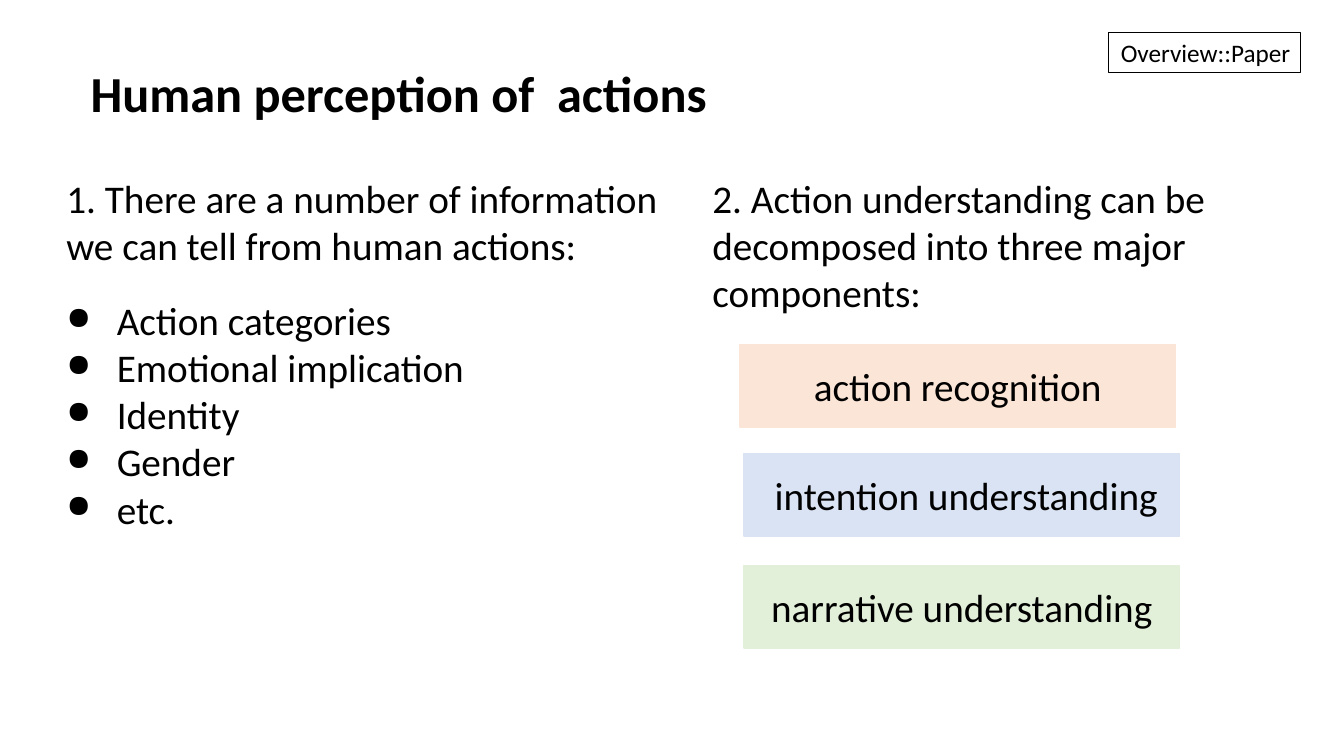
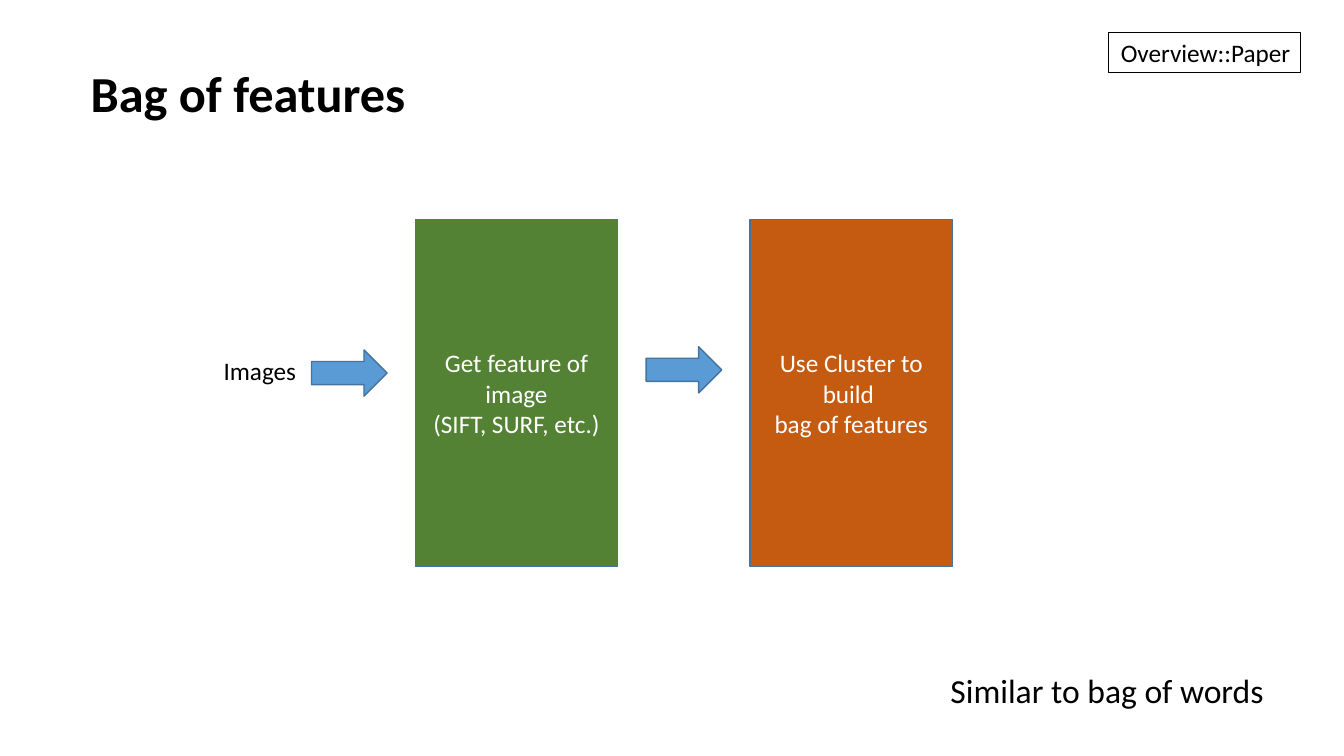
"""Builds two slides on human actions and on the bag of features."""
import pptx
import pptx.util
import pptx.dml.color
import pptx.enum.shapes
import pptx.enum.text
import lxml.etree

Pt = pptx.util.Pt
RGBColor = pptx.dml.color.RGBColor
Kind = pptx.enum.shapes.MSO_SHAPE
Align = pptx.enum.text.PP_ALIGN
Anchor = pptx.enum.text.MSO_ANCHOR
Fit = pptx.enum.text.MSO_AUTO_SIZE

BLACK = RGBColor(0x00, 0x00, 0x00)
WHITE = RGBColor(0xFF, 0xFF, 0xFF)
PEACH = RGBColor(0xFB, 0xE5, 0xD6)
PALE = RGBColor(0xDA, 0xE3, 0xF3)
MINT = RGBColor(0xE2, 0xF0, 0xD9)
BLUE = RGBColor(0x5B, 0x9B, 0xD5)
NAVY = RGBColor(0x43, 0x73, 0x9E)
GREEN = RGBColor(0x54, 0x82, 0x35)
RUST = RGBColor(0xC5, 0x5A, 0x11)
FONT = "Calibri"


def put(slide, text, box, kind=None, fill=None, line=None, width=1, size=28,
        color=BLACK, bold=False, align=None, anchor=Anchor.TOP, wrap=True,
        grow=False, after=0, bullet=False):
    left, top, wide, high = map(Pt, box)
    if kind is None:
        shape = slide.shapes.add_textbox(left, top, wide, high)
    else:
        shape = slide.shapes.add_shape(kind, left, top, wide, high)
        shape.shadow.inherit = False
        shape.line.color.rgb = line
        shape.line.width = Pt(width)
        if fill is None:
            shape.fill.background()
        else:
            shape.fill.solid()
            shape.fill.fore_color.rgb = fill
    frame = shape.text_frame
    frame.word_wrap = wrap
    frame.vertical_anchor = anchor
    frame.auto_size = Fit.SHAPE_TO_FIT_TEXT if grow else Fit.NONE
    frame.text = text
    for rank, para in enumerate(frame.paragraphs):
        if bullet and rank:
            props = para._p.get_or_add_pPr()
            props.set("marL", str(Pt(36)))
            props.set("indent", str(Pt(-36)))
            for tag, key, val in (("buSzPct", "val", "80000"), ("buChar", "char", "●")):
                lxml.etree.SubElement(props, pptx.oxml.ns.qn("a:" + tag)).set(key, val)
        if align is not None:
            para.alignment = align
        if after and rank == 0:
            para.space_after = Pt(after)
        para.font.name = FONT
        para.font.size = Pt(size)
        para.font.bold = bold
        para.font.color.rgb = color
    return shape


deck = pptx.Presentation()
deck.slide_width, deck.slide_height = Pt(960), Pt(540)

pages = []
for title, wide in (("Human perception of  actions", 460), ("Bag of features", 242)):
    page = deck.slides.add_slide(deck.slide_layouts[6])
    put(page, title, (57.6, 41, wide, 51), size=36, bold=True, wrap=False, grow=True)
    put(page, "Overview::Paper", (792, 23, 136.8, 29), kind=Kind.RECTANGLE, line=BLACK,
        width=0.75, size=18, align=Align.RIGHT, wrap=False, grow=True)
    pages.append(page)
human, bag = pages

facts = ("1. There are a number of information we can tell from human actions:",
         "Action categories", "Emotional implication", "Identity", "Gender", "etc.")
put(human, "\n".join(facts), (40.3, 121, 440.6, 265), grow=True, after=20, bullet=True)
put(human, "2. Action understanding can be decomposed into three major components:",
    (501.8, 121, 447.8, 108.7), grow=True, after=20)
for text, left, top, tint in (("action recognition", 528.5, 246, PEACH),
                              (" intention understanding", 531.4, 324, PALE),
                              ("narrative understanding", 531.4, 404, MINT)):
    put(human, text, (left, top, 311, 59), kind=Kind.RECTANGLE, fill=tint, line=tint,
        align=Align.CENTER, anchor=Anchor.MIDDLE)

put(bag, "Images", (152.6, 250, 67, 29), size=18, wrap=False, grow=True)
steps = (("Get feature of image\n(SIFT, SURF, etc.)", 296.6, GREEN, 222.5, 250),
         ("Use Cluster to build \nbag of features", 535.7, RUST, 461.5, 247.7))
for text, left, tint, start, top in steps:
    put(bag, "", (start, top, 54, 33), kind=Kind.RIGHT_ARROW, fill=BLUE, line=NAVY)
    put(bag, text, (left, 157, 144.7, 247.7), kind=Kind.RECTANGLE, fill=tint, line=NAVY,
        size=18, color=WHITE, align=Align.CENTER, anchor=Anchor.MIDDLE)
put(bag, "Similar to bag of words", (671.8, 475, 239.8, 36), size=24, wrap=False, grow=True)

deck.save("out.pptx")
